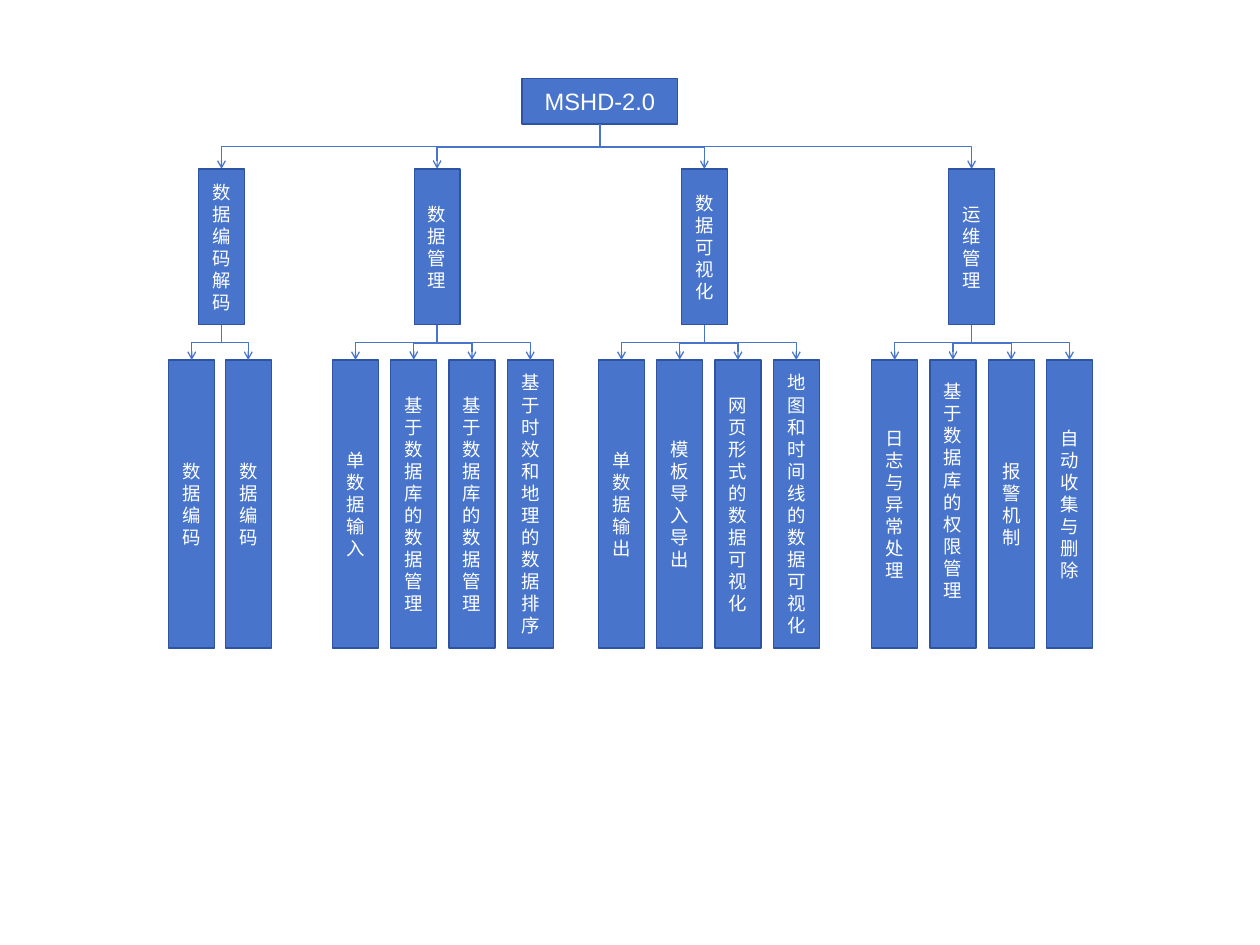
from lxml import etree
from pptx import Presentation
from pptx.dml.color import RGBColor
from pptx.enum import shapes, text
from pptx.oxml.ns import qn
from pptx.util import Pt

ROOT = "MSHD-2.0"
TREE = [
    ("数据编码解码", 177.2, 153.4, 45.2, ["数据编码", "数据编码"]),
    ("数据管理", 349.7, 284.4, 46.6, [
        "单数据\n输入", "基于数据库的\n数据管理",
        "基于数据库的\n数据管理", "基于时效和地理的数据排序"]),
    ("数据可视化", 563.5, 497.2, 46.6, [
        "单数据\n输出", "模板导入导出",
        "网页形式的\n数据可视化", "地图和时间线的数据可视化"]),
    ("运维管理", 777.3, 715.8, 46.6, [
        "日志与\n异常处理", "基于数据库的权限管理", "报警机制", "自动收集与删除"]),
]
RAISED = "基于数据库的权限管理"
FILL, EDGE, WHITE = "4874CB", "2E54A1", "FFFFFF"
THICK, SHORT, LONG = 36.7, 124.6, 230.4
MID, ROOT_Y, ROW_Y, LEAF_Y = 480, 62.6, 135.2, 288


def color(code):
    """Return a hex string as a colour."""
    return RGBColor.from_string(code)


def box(slide, label, mid, top, size, tall=True):
    """Add a labelled box centred on mid, turned upright when tall."""
    left = mid - size / 2
    y = top + (size - THICK) / 2 if tall else top
    shape = slide.shapes.add_shape(
        shapes.MSO_SHAPE.RECTANGLE, Pt(left), Pt(y), Pt(size), Pt(THICK))
    shape.shadow.inherit = False
    shape.fill.solid()
    shape.fill.fore_color.rgb = color(FILL)
    shape.line.color.rgb = color(EDGE)
    shape.line.width = Pt(1)
    frame = shape.text_frame
    frame.word_wrap = True
    frame.vertical_anchor = text.MSO_ANCHOR.MIDDLE
    if tall:
        shape.rotation = 90
        frame._txBody.bodyPr.set("vert", "vert270")
        frame.margin_top = frame.margin_bottom = Pt(6)
        if label == RAISED:
            frame.margin_right = Pt(24.8)
    frame.text = label
    for para in frame.paragraphs:
        para.alignment = text.PP_ALIGN.CENTER
        for run in para.runs:
            run.font.name = "Arial"
            run.font.size = Pt(14.7 if tall else 18.9)
            run.font.color.rgb = color(WHITE)


def link(slide, start, end, bend=0.5, both=False):
    """Add an elbow arrow that leaves and arrives vertically."""
    (x1, y1), (x2, y2) = start, end
    mid_x, mid_y = (x1 + x2) / 2, (y1 + y2) / 2
    half, rise = (x2 - x1) / 2, (y2 - y1) / 2
    line = slide.shapes.add_connector(
        shapes.MSO_CONNECTOR.ELBOW, Pt(mid_x - rise), Pt(mid_y + half),
        Pt(mid_x + rise), Pt(mid_y - half))
    line.line.color.rgb = color(FILL)
    line.line.width = Pt(1)
    props = line._element.spPr
    props.find(qn("a:xfrm")).set("rot", "5400000")
    guides = props.find(qn("a:prstGeom")).find(qn("a:avLst"))
    etree.SubElement(guides, qn("a:gd"), name="adj1",
                     fmla=f"val {round(bend * 100000)}")
    stroke = line.line._get_or_add_ln()
    for tag in ("a:headEnd", "a:tailEnd") if both else ("a:tailEnd",):
        etree.SubElement(stroke, qn(tag), type="arrow")
    etree.SubElement(props, qn("a:effectLst"))


def fan(slide, start, mids, top):
    """Link a parent to its outer children and join the inner pair."""
    for mid in (mids[0], mids[-1]):
        link(slide, start, (mid, top))
    if len(mids) == 4:
        rise = (top - start[1]) / 2 - 1
        gap = 0.25
        link(slide, (mids[1], top - gap), (mids[2], top), -rise / gap, True)


def main():
    """Build the module tree slide."""
    deck = Presentation()
    deck.slide_width, deck.slide_height = Pt(1008), Pt(756)
    slide = deck.slides.add_slide(deck.slide_layouts[6])
    box(slide, ROOT, MID, ROOT_Y, SHORT, tall=False)
    fan(slide, (MID, ROOT_Y + THICK), [row[1] for row in TREE], ROW_Y)
    for name, mid, first, step, leaves in TREE:
        box(slide, name, mid, ROW_Y, SHORT)
        mids = [first + i * step for i in range(len(leaves))]
        for leaf, x in zip(leaves, mids):
            box(slide, leaf, x, LEAF_Y, LONG)
        fan(slide, (mid, ROW_Y + SHORT), mids, LEAF_Y)
    deck.save("out.pptx")


if __name__ == "__main__":
    main()
